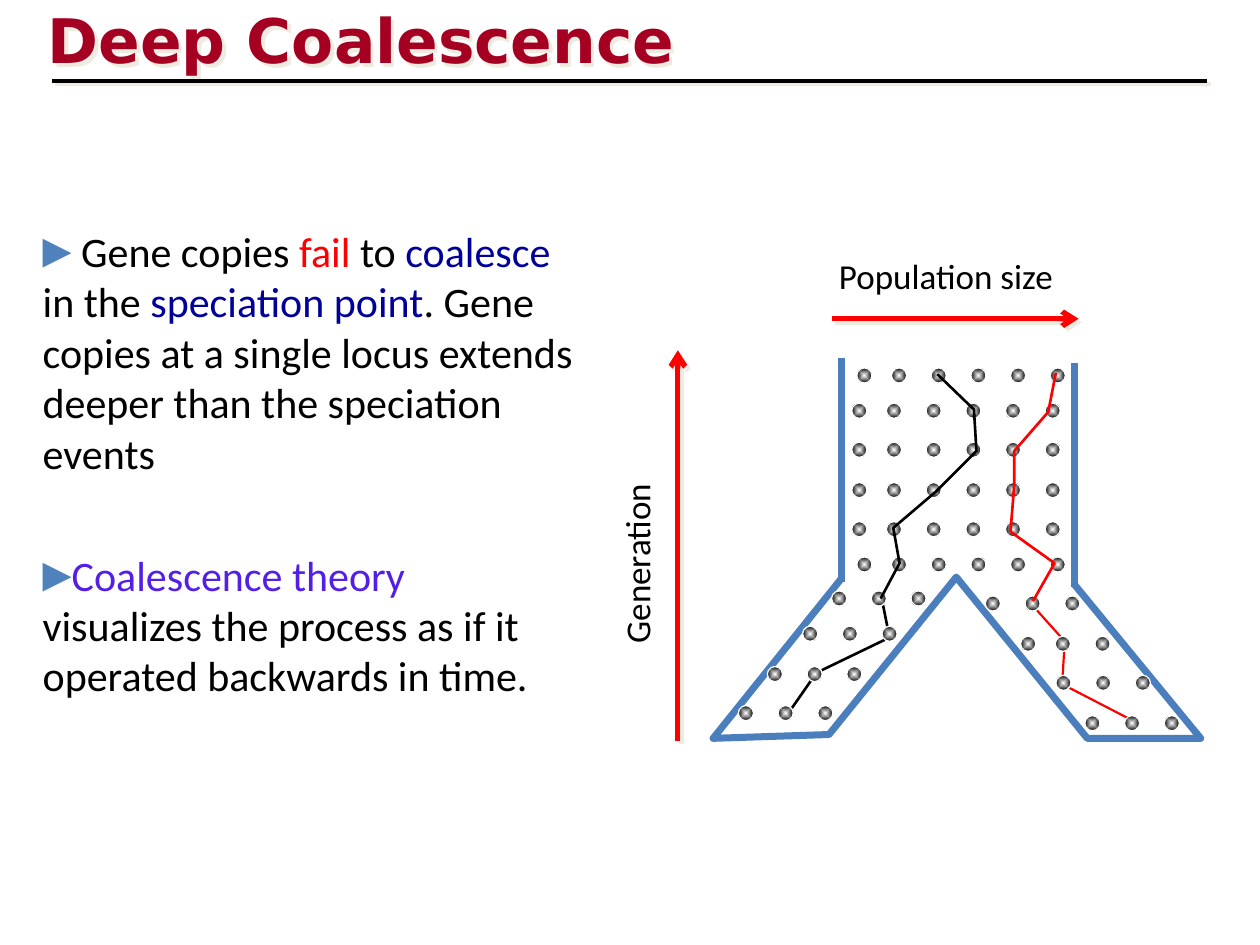
from lxml.etree import SubElement
from pptx import Presentation
from pptx.dml.color import RGBColor
from pptx.enum.shapes import MSO_CONNECTOR, MSO_SHAPE
from pptx.oxml.ns import qn
from pptx.util import Inches, Pt

HUE = dict(ink="000000", red="FF0000", navy="000099", violet="531FE7", title="A50021",
           wall="4B7EBC", bullet="4F81BD", shade="EEECE1", white="FFFFFF")
WIDE, HIGH = 10, 7.5

BODY = [
    [(" Gene copies ", "ink"), ("fail", "red"), (" to ", "ink"), ("coalesce", "navy"),
     (" in the ", "ink"), ("speciation point", "navy"),
     (". Gene copies at a single locus extends deeper than the speciation events", "ink")],
    [("Coalescence theory", "violet"), ("\n", "ink"),
     ("visualizes the process as if it operated backwards in time.", "ink")],
]

# Lineages below the split, drawn under the dots
TIPS = [
    ([(9.01, 5.73), (8.43, 5.43), (8.45, 5.09), (8.19, 4.8)], "red", 1.25),
    ([(6.25, 5.67), (6.48, 5.34), (7.06, 5.06), (7, 4.76)], "ink", 1.5),
]
# Lineages in the trunk, drawn over the dots
ROOTS = [
    ([(6.99, 4.75), (7.14, 4.47), (7.09, 4.19), (7.43, 3.9), (7.75, 3.58),
      (7.73, 3.25), (7.44, 2.97)], "ink", 1.5),
    ([(8.2, 4.77), (8.37, 4.47), (8.02, 4.22), (8.05, 3.85), (8.05, 3.58),
      (8.32, 3.27), (8.38, 2.96)], "red", 1.5),
]
FORK = [(6.68, 4.59), (5.66, 5.86), (6.58, 5.83), (7.59, 4.58), (8.63, 5.86),
        (9.53, 5.86), (8.52, 4.63)]
WALLS = [((6.68, 2.84), (6.68, 4.62)), ((8.53, 2.88), (8.53, 4.66))]
AXES = [((5.38, 5.88), (5.38, 2.78)), ((6.6, 2.53), (8.56, 2.53))]

# Dots: left and top of each row, with the column offsets it uses
DOT, STEP = 0.12, 0.315
TRUNK = [0, 0.275] + [0.275 + STEP * i for i in range(1, 5)]
LIMB = [STEP * i for i in range(3)]
ROWS = [
    (TRUNK, [(6.8, 2.92), (6.76, 3.2), (6.76, 3.51), (6.76, 3.83), (6.76, 4.14), (6.8, 4.42)]),
    (LIMB, [(6.6, 4.69), (6.37, 4.97), (6.09, 5.29), (5.86, 5.6)]),
    (LIMB, [(7.82, 4.73), (8.38, 5.36), (8.61, 5.68)]),
    (TRUNK[:3], [(8.1, 5.05)]),
]

deck = Presentation()
deck.slide_width, deck.slide_height = Inches(WIDE), Inches(HIGH)
shapes = deck.slides.add_slide(deck.slide_layouts[6]).shapes


def rgb(name):
    return RGBColor.from_string(HUE[name])


def emu(*sides):
    return [Inches(v) for v in sides]


def tag(node, name, **attrs):
    return SubElement(node, qn("a:" + name), {k: str(v) for k, v in attrs.items()})


def hue(node, name):
    tag(node, "srgbClr", val=HUE[name])


def effects(node, shade):
    """Give a node an effect list, with an offset shadow or none."""
    box = tag(node, "effectLst")
    if shade:
        hue(tag(box, "outerShdw", dist=Pt(2.8), dir=45 * 60000, algn="ctr",
                rotWithShape=0), "shade")


def stroke(line, color, size):
    line.color.rgb = rgb(color)
    line.width = Pt(size)


def rule(start, end, color, size, shade=False, arrow=False):
    bar = shapes.add_connector(MSO_CONNECTOR.STRAIGHT, *emu(*start, *end))
    stroke(bar.line, color, size)
    if arrow:
        tag(bar.line._get_or_add_ln(), "tailEnd", type="arrow")
    effects(bar._element.spPr, shade)


def trace(points, color, size):
    """Draw an open, unfilled outline."""
    first, *rest = [emu(*point) for point in points]
    pen = shapes.build_freeform(*first)
    pen.add_line_segments(rest, close=False)
    path = pen.convert_to_shape()
    path.fill.background()
    path.shadow.inherit = False
    stroke(path.line, color, size)


def dot(x, y):
    ball = shapes.add_shape(MSO_SHAPE.OVAL, *emu(x, y, DOT, DOT))
    ball.shadow.inherit = False
    ball.fill.gradient()
    for stop, color, pos in zip(ball.fill.gradient_stops, ("white", "ink"), (0, 1)):
        stop.color.rgb = rgb(color)
        stop.position = pos
    grad = ball._element.spPr.find(qn("a:gradFill"))
    grad.remove(grad.find(qn("a:lin")))
    tag(tag(grad, "path", path="shape"), "fillToRect", l=50000, t=50000, r=50000, b=50000)
    stroke(ball.line, "white", 0.75)


def frame(x, y, w, h, turn=0, shade=False):
    box = shapes.add_textbox(*emu(x, y, w, h))
    box.rotation = turn
    if shade:
        effects(box._element.spPr, True)
    box.text_frame.word_wrap = True
    return box.text_frame


def write(para, text, color, size, face="Calibri", bold=False):
    run = para.add_run()
    run.text = text
    font = run.font
    font.size, font.bold, font.name = Pt(size), bold, face
    font.color.rgb = rgb(color)


def bullet(para):
    props = para._p.get_or_add_pPr()
    hue(tag(props, "buClr"), "bullet")
    tag(props, "buSzPct", val=90000)
    tag(props, "buFont", typeface="DejaVu Sans")
    tag(props, "buChar", char="▶")


for item in TIPS:
    trace(*item)
for ends in WALLS:
    rule(*ends, "wall", 4)
trace(FORK, "wall", 4)
for cols, starts in ROWS:
    for left, top in starts:
        for col in cols:
            dot(left + col, top)
for item in ROOTS:
    trace(*item)
for ends in AXES:
    rule(*ends, "red", 3, shade=True, arrow=True)

write(frame(6.56, 1.97, 2.44, 0.44).paragraphs[0], "Population size", "ink", 20)
write(frame(4.23, 4.16, 1.65, 0.44, 270).paragraphs[0], "Generation", "ink", 20)
write(frame(0.28, -0.03, 8.5, 0.67, shade=True).paragraphs[0], "Deep Coalescence",
      "title", 35.1, "DejaVu Sans", bold=True)
rule((0.41, 0.64), (9.58, 0.64), "ink", 2.25, shade=True)

body = frame(0.24, 1.74, 4.45, 4.8)
for i, runs in enumerate(BODY):
    para = body.add_paragraph() if i else body.paragraphs[0]
    if i:
        para.space_before = Pt(41)
    bullet(para)
    for text, color in runs:
        if text == "\n":
            para.add_line_break()
        else:
            write(para, text, color, 24)

deck.save("out.pptx")
